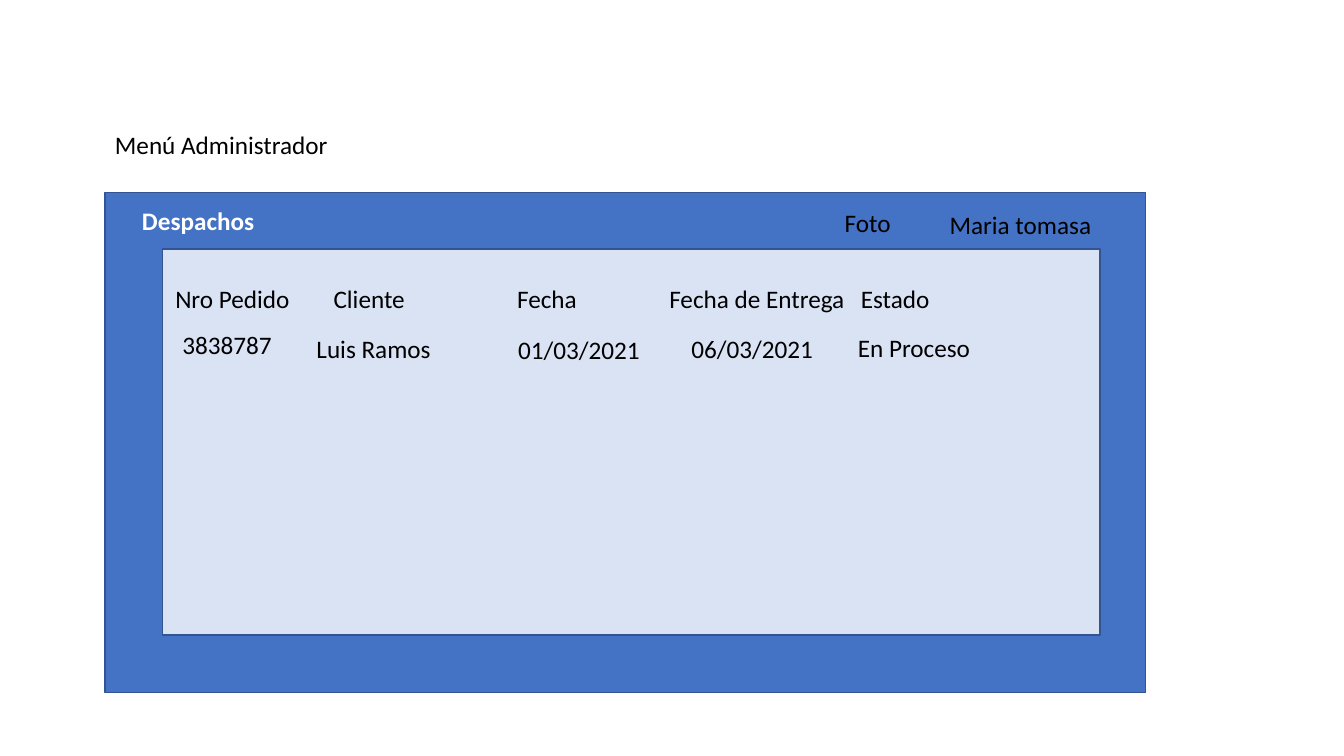
from pptx import Presentation
from pptx.dml.color import RGBColor
from pptx.enum.shapes import MSO_SHAPE
from pptx.enum.text import MSO_ANCHOR, MSO_AUTO_SIZE, PP_ALIGN
from pptx.util import Inches, Pt

COLORS = {
    "frame": "4472C4",
    "panel": "DAE3F3",
    "border": "325491",
    "text": "000000",
    "heading": "FFFFFF",
}
LABEL_HEIGHT = 0.4
HEADER_TOP = 2.76

# Column headers: text, left, width
GROUPED_HEADERS = [
    ("Nro Pedido", 1.64, 1.37),
    ("Cliente", 3.21, 1.48),
    ("Fecha", 5.03, 1.48),
    ("Fecha de Entrega", 6.54, 2),
]
STATUS_HEADER = ("Estado", 8.44, 1.46)

# Order values: text, left, top, width
ORDER_VALUES = [
    ("3838787", 1.71, 3.22, 1.28),
    ("Luis Ramos", 3.04, 3.26, 1.82),
    ("01/03/2021", 5.04, 3.27, 1.63),
    ("06/03/2021", 6.76, 3.26, 1.56),
    ("En Proceso", 8.41, 3.25, 1.47),
]


def place(shape, left, top, width, height):
    shape.left, shape.top = Inches(left), Inches(top)
    shape.width, shape.height = Inches(width), Inches(height)


def write_text(shape, text, size=18, color="text", bold=False, font="Calibri"):
    frame = shape.text_frame
    frame.word_wrap = True
    frame.auto_size = MSO_AUTO_SIZE.SHAPE_TO_FIT_TEXT
    frame.vertical_anchor = MSO_ANCHOR.TOP
    para = frame.paragraphs[0]
    para.alignment = PP_ALIGN.LEFT
    span = para.add_run()
    span.text = text
    span.font.name = font
    span.font.size = Pt(size)
    span.font.bold = bold
    span.font.color.rgb = RGBColor.from_string(COLORS[color])


def add_label(shapes, text, left, top, width, **text_format):
    box = shapes.add_textbox(
        Inches(left), Inches(top), Inches(width), Inches(LABEL_HEIGHT)
    )
    write_text(box, text, **text_format)


def add_panel(shapes, left, top, width, height, fill):
    panel = shapes.add_shape(
        MSO_SHAPE.RECTANGLE,
        Inches(left), Inches(top), Inches(width), Inches(height),
    )
    panel.shadow.inherit = False
    panel.fill.solid()
    panel.fill.fore_color.rgb = RGBColor.from_string(COLORS[fill])
    panel.line.color.rgb = RGBColor.from_string(COLORS["border"])
    panel.line.width = Pt(1)


def main():
    deck = Presentation()
    deck.slide_width, deck.slide_height = Inches(13.33), Inches(7.5)
    page = deck.slides.add_slide(deck.slide_layouts.get_by_name("Title Only"))

    # Title
    title = page.shapes.title
    place(title, 1.04, 1.23, 6.67, LABEL_HEIGHT)
    write_text(title, "Menú Administrador")

    # Window with its column headers
    window = page.shapes.add_group_shape().shapes
    add_panel(window, 1.04, 1.91, 10.32, 4.96, "frame")
    add_panel(window, 1.61, 2.47, 9.3, 3.83, "panel")
    for text, left, width in GROUPED_HEADERS:
        add_label(window, text, left, HEADER_TOP, width)

    # Status header and order row
    text, left, width = STATUS_HEADER
    add_label(page.shapes, text, left, HEADER_TOP, width)
    for value in ORDER_VALUES:
        add_label(page.shapes, *value)

    # Window bar
    add_label(page.shapes, "Despachos", 1.31, 1.99, 1.61,
              color="heading", bold=True)
    add_label(page.shapes, "Maria tomasa", 9.32, 2.03, 1.8)
    add_label(page.shapes, "Foto", 8.28, 2.01, 0.97)

    deck.save("out.pptx")


if __name__ == "__main__":
    main()
